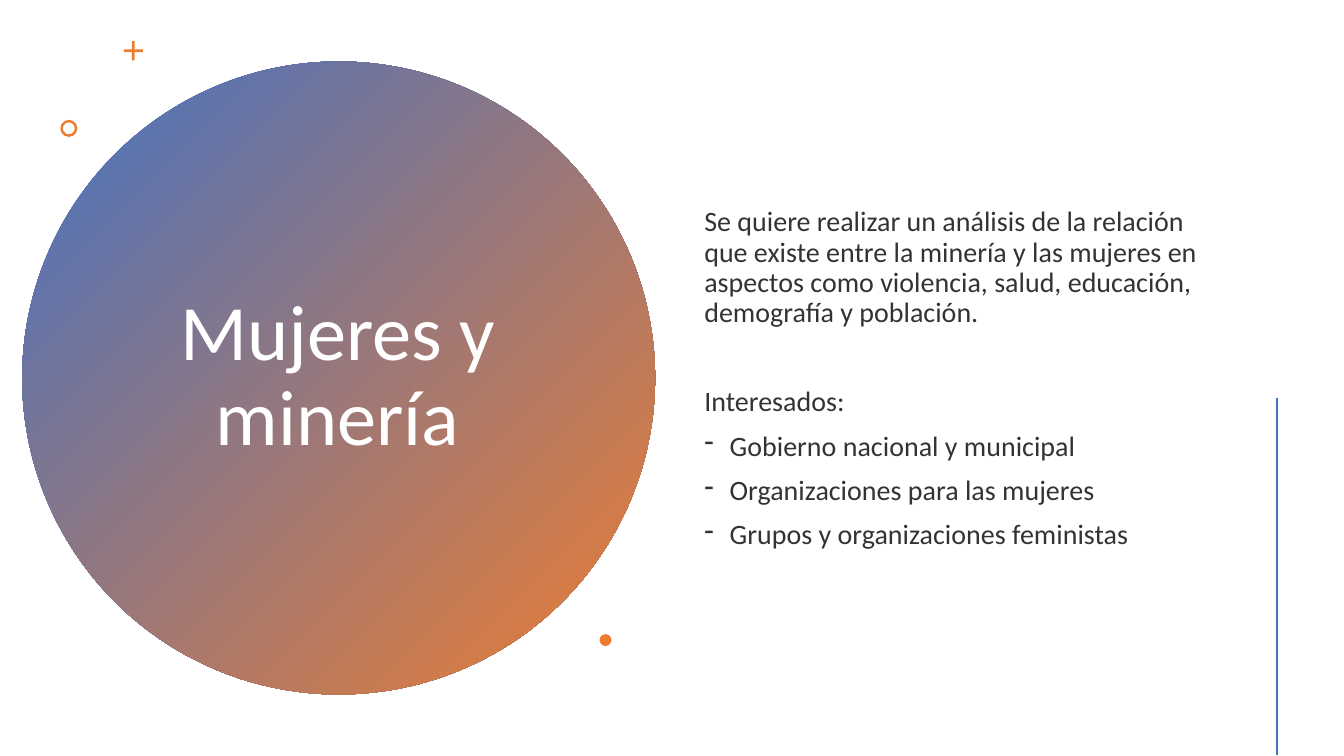
import pptx
import pptx.util
import pptx.dml.color
import pptx.enum.shapes
import pptx.enum.text
import pptx.oxml.ns
from dataclasses import dataclass
from lxml import etree

Cm = pptx.util.Cm
Pt = pptx.util.Pt
Kind = pptx.enum.shapes.MSO_SHAPE
Align = pptx.enum.text.PP_ALIGN


@dataclass
class Theme:
    font: str = "Calibri"
    blue: str = "4472C4"
    orange: str = "ED7D31"
    white: str = "FFFFFF"
    ink: str = "333333"
    head: int = 56
    body: int = 20
    rule: int = 2


def tint(code):
    return pptx.dml.color.RGBColor.from_string(code)


class Page:
    def __init__(self, deck, theme):
        self.theme = theme
        self.slide = deck.slides.add_slide(deck.slide_layouts[5])

    def run(self, para, text, size, color):
        run = para.add_run()
        run.text = text
        run.font.name = self.theme.font
        run.font.size = Pt(size)
        run.font.color.rgb = tint(color)

    def frame(self, shape):
        frame = shape.text_frame
        frame.word_wrap = True
        frame.auto_size = pptx.enum.text.MSO_AUTO_SIZE.NONE
        frame.vertical_anchor = pptx.enum.text.MSO_ANCHOR.MIDDLE
        return frame

    def title(self, text, left, top, width, height):
        shape = self.slide.shapes.title
        shape.left, shape.top = Cm(left), Cm(top)
        shape.width, shape.height = Cm(width), Cm(height)
        para = self.frame(shape).paragraphs[0]
        para.alignment = Align.CENTER
        para.line_spacing = 0.9
        self.run(para, text, self.theme.head, self.theme.white)

    def shape(self, kind, left, top, size, adjust=None):
        shape = self.slide.shapes.add_shape(
            kind, Cm(left), Cm(top), Cm(size), Cm(size))
        shape.shadow.inherit = False
        shape.line.fill.background()
        shape.fill.solid()
        shape.fill.fore_color.rgb = tint(self.theme.orange)
        if adjust is not None:
            shape.adjustments[0] = adjust
        return shape

    def disc(self, left, top, size):
        disc = self.shape(Kind.OVAL, left, top, size)
        disc.fill.gradient()
        disc.fill.gradient_angle = 315
        colors = self.theme.blue, self.theme.orange
        for place, (stop, color) in enumerate(zip(disc.fill.gradient_stops, colors)):
            stop.position = place
            stop.color.rgb = tint(color)
        self.slide.shapes.title.element.addprevious(disc.element)

    def text(self, items, left, top, width, height):
        box = self.slide.shapes.add_textbox(
            Cm(left), Cm(top), Cm(width), Cm(height))
        frame = self.frame(box)
        for order, (text, gap, mark) in enumerate(items):
            para = frame.add_paragraph() if order else frame.paragraphs[0]
            para.alignment = Align.LEFT
            para.line_spacing = 0.9
            para.space_before = Pt(gap)
            if mark:
                self.bullet(para, mark)
            self.run(para, text, self.theme.body, self.theme.ink)

    def bullet(self, para, mark):
        props = para._p.get_or_add_pPr()
        props.set("marL", str(Cm(0.64)))
        props.set("indent", str(-Cm(0.64)))
        etree.SubElement(props, pptx.oxml.ns.qn("a:buChar")).set("char", mark)

    def line(self, left, top, right, bottom):
        line = self.slide.shapes.add_connector(
            pptx.enum.shapes.MSO_CONNECTOR.STRAIGHT,
            Cm(left), Cm(top), Cm(right), Cm(bottom))
        line.line.color.rgb = tint(self.theme.blue)
        line.line.width = Pt(self.theme.rule)
        etree.SubElement(line.element.spPr, pptx.oxml.ns.qn("a:effectLst"))


deck = pptx.Presentation()
deck.slide_width, deck.slide_height = Cm(33.87), Cm(19.05)
page = Page(deck, Theme())

page.disc(0.56, 1.55, 15.95)
page.title("Mujeres y minería", 3.45, 3.58, 10.13, 11.86)
page.shape(Kind.CROSS, 3.12, 1.04, 0.48, 0.43)
page.shape(Kind.DONUT, 1.52, 3.02, 0.43, 0.15)
page.text([
    ("Se quiere realizar un análisis de la relación que existe entre la minería "
     "y las mujeres en aspectos como violencia, salud, educación, demografía "
     "y población.", 10, None),
    ("Interesados:", 42, None),
    ("Gobierno nacional y municipal", 10, "-"),
    ("Organizaciones para las mujeres", 10, "-"),
    ("Grupos y organizaciones feministas", 10, "-"),
], 17.5, 1.45, 13.26, 16.21)
page.shape(Kind.OVAL, 15.11, 15.98, 0.3)
page.line(32.18, 10.03, 32.18, 19.02)

deck.save("out.pptx")
